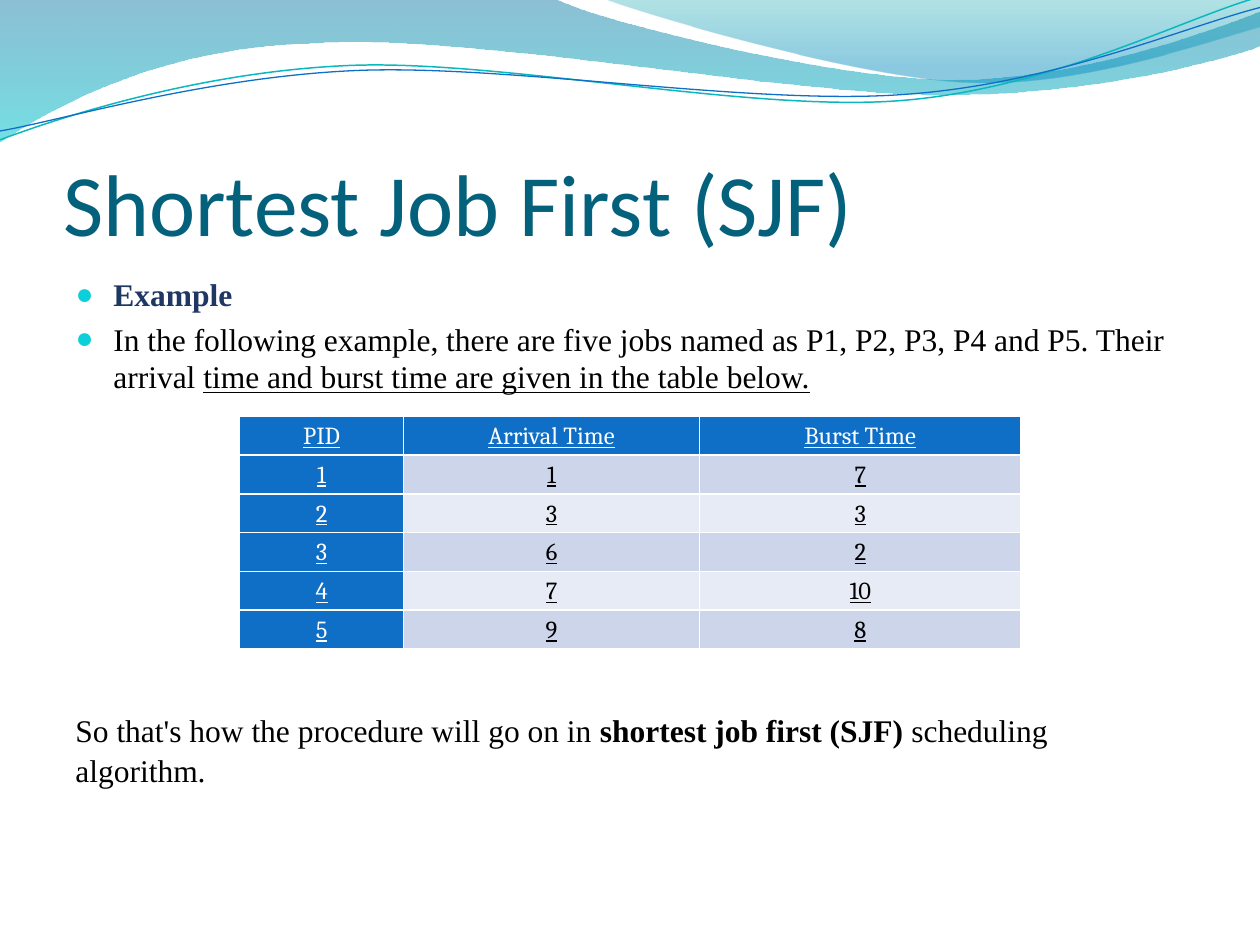
from dataclasses import dataclass
from math import cos, radians, sin

from lxml.etree import SubElement
from pptx import Presentation
from pptx.dml.color import RGBColor
from pptx.enum.text import MSO_ANCHOR, MSO_AUTO_SIZE, PP_ALIGN
from pptx.oxml.ns import qn
from pptx.util import Pt


@dataclass(frozen=True)
class Theme:
    title: str = "04617B"
    heading: str = "1F3763"
    text: str = "000000"
    white: str = "FFFFFF"
    blue: str = "0F6FC6"
    teal: str = "0AB8BF"
    bullet: str = "0BD0D9"
    bands: tuple = ("CCD5EA", "E7EBF5")
    title_font: str = "Calibri"
    body_font: str = "Times New Roman"
    table_font: str = "Cambria"
    title_size: int = 50
    body_size: int = 18
    table_size: int = 14


THEME = Theme()
BODY = {"name": THEME.body_font, "size": THEME.body_size, "color": THEME.text}

# Wave outlines in inches: a pair is a line end, six numbers are a Bézier curve.
LEFT_WAVE = [
    (0, 0), (4.4, -0.01), (4.76, 0.17, 6.64, 0.63, 7.58, 0.63),
    (8.53, 0.63, 9.58, 0.26, 10, 0.09), (10.01, 0.36),
    (9.83, 0.44, 8.7, 0.76, 7.46, 0.75), (6.22, 0.75, 3.82, 0.28, 2.57, 0.34),
    (1.29, 0.36, 0.46, 0.83, -0.01, 1.13),
]
RIGHT_WAVE = [
    (4.79, -0.01), (5.09, 0.11, 6.82, 0.62, 7.69, 0.65),
    (8.56, 0.69, 9.61, 0.32, 10, 0.21), (10, 0),
]
TEAL_LINE = [
    (0, 1.11), (0.48, 0.93, 1.58, 0.57, 2.77, 0.52),
    (3.95, 0.47, 5.93, 0.89, 7.13, 0.8), (8.33, 0.71, 9.38, 0.15, 9.98, -0.02),
]
BLUE_LINE = [
    (0, 1.04), (0.47, 0.96, 1.64, 0.61, 2.83, 0.56),
    (4.03, 0.51, 5.97, 0.84, 7.17, 0.75), (8.36, 0.67, 9.41, 0.21, 10, 0.06),
]
LINE_TILT = -2.7
JOBS = [
    ("PID", "Arrival Time", "Burst Time"),
    ("1", "1", "7"), ("2", "3", "3"), ("3", "6", "2"), ("4", "7", "10"), ("5", "9", "8"),
]


def rgb(value):
    return RGBColor.from_string(value)


def to_points(outline, degrees=0, center=(0, 0)):
    """Return each segment as a list of turned (x, y) pairs in EMU."""
    angle, (cx, cy) = radians(degrees), center
    return [
        [(Pt(72 * (cx + (x - cx) * cos(angle) - (y - cy) * sin(angle))),
          Pt(72 * (cy + (x - cx) * sin(angle) + (y - cy) * cos(angle))))
         for x, y in zip(segment[::2], segment[1::2])]
        for segment in outline
    ]


def add_outline(slide, segments, close):
    """Build a freeform through the segment ends, then bend its curved segments."""
    ends = [segment[-1] for segment in segments]
    builder = slide.shapes.build_freeform(*ends[0], scale=1)
    builder.add_line_segments(ends[1:], close=close)
    shape = builder.convert_to_shape()
    shape.shadow.inherit = False
    lines = list(shape.element.iter(qn("a:lnTo")))
    for line, segment in zip(lines, segments[1:]):
        if len(segment) == 3:
            curve = line.makeelement(qn("a:cubicBezTo"))
            for x, y in segment:
                SubElement(curve, qn("a:pt"), x=str(x - shape.left), y=str(y - shape.top))
            line.getparent().replace(line, curve)
    return shape


def add_wave(slide, outline, stops):
    """Add a filled wave; each stop is position, colour and opacity in percent."""
    wave = add_outline(slide, to_points(outline), True)
    wave.line.fill.background()
    wave.fill.gradient()
    wave.fill.gradient_angle = 270
    for stop, (position, color, _) in zip(wave.fill.gradient_stops, stops):
        stop.position = position
        stop.color.rgb = rgb(color)
    colors = wave.element.spPr.find(qn("a:gradFill")).iter(qn("a:srgbClr"))
    for color, (_, _, opacity) in zip(colors, stops):
        SubElement(color, qn("a:alpha"), val=str(opacity * 1000))


def add_wave_line(slide, outline, center, color, width):
    line = add_outline(slide, to_points(outline, -LINE_TILT, center), False)
    line.rotation = LINE_TILT
    line.fill.background()
    line.line.color.rgb = rgb(color)
    line.line.width = Pt(width)


def place(shape, left, top, width, height):
    for name, value in zip(("left", "top", "width", "height"), (left, top, width, height)):
        setattr(shape, name, Pt(value))


def write(para, spans, style, **layout):
    """Fill a paragraph with (text, changes) spans in the given style."""
    for name, value in layout.items():
        setattr(para, name, value)
    for text, changes in spans:
        span = para.add_run()
        span.text = text
        for name, value in {**style, **changes}.items():
            if name == "color":
                span.font.color.rgb = rgb(value)
            else:
                setattr(span.font, name, Pt(value) if name == "size" else value)


def add_bullet(para):
    properties = para._p.get_or_add_pPr()
    properties.set("marL", str(Pt(21.6)))
    properties.set("indent", str(-Pt(21.6)))
    color = SubElement(properties, qn("a:buClr"))
    SubElement(color, qn("a:srgbClr"), val=THEME.bullet)
    SubElement(properties, qn("a:buSzPct"), val="95000")
    SubElement(properties, qn("a:buChar"), char="●")


def fill_title(title, text):
    place(title, 36, 55.1, 648, 90)
    frame = title.text_frame
    frame.auto_size = MSO_AUTO_SIZE.NONE
    frame.vertical_anchor = MSO_ANCHOR.BOTTOM
    frame.margin_left = frame.margin_right = frame.margin_bottom = 0
    style = {"name": THEME.title_font, "size": THEME.title_size, "color": THEME.title}
    write(frame.paragraphs[0], [(text, {})], style, alignment=PP_ALIGN.LEFT)


def fill_body(body, items):
    place(body, 36, 152.3, 648, 345.6)
    frame = body.text_frame
    frame.auto_size = MSO_AUTO_SIZE.NONE
    for index, (spans, layout) in enumerate(items):
        para = frame.add_paragraph() if index else frame.paragraphs[0]
        add_bullet(para)
        write(para, spans, BODY, **layout)


def add_borders(cell):
    properties = cell._tc.get_or_add_tcPr()
    for index, side in enumerate("LRTB"):
        line = SubElement(properties, qn(f"a:ln{side}"), w=str(Pt(1)))
        SubElement(SubElement(line, qn("a:solidFill")), qn("a:srgbClr"), val=THEME.white)
        properties.insert(index, line)


def add_job_table(slide):
    widths, row_height = (93.6, 169.2, 183.6), 22.15
    table = slide.shapes.add_table(
        len(JOBS), len(widths), Pt(137), Pt(237.9), Pt(sum(widths)), Pt(row_height * len(JOBS))
    ).table
    for column, width in zip(table.columns, widths):
        column.width = Pt(width)
    for r, job in enumerate(JOBS):
        table.rows[r].height = Pt(row_height)
        for c, text in enumerate(job):
            cell = table.cell(r, c)
            is_header = r == 0 or c == 0
            for side in ("left", "right", "top", "bottom"):
                setattr(cell, f"margin_{side}", Pt(0.72))
            cell.vertical_anchor = MSO_ANCHOR.MIDDLE
            cell.fill.solid()
            cell.fill.fore_color.rgb = rgb(THEME.blue if is_header else THEME.bands[(r - 1) % 2])
            add_borders(cell)
            style = {"name": THEME.table_font, "size": THEME.table_size, "bold": False,
                     "underline": True, "color": THEME.white if is_header else THEME.text}
            write(cell.text_frame.paragraphs[0], [(text, {})], style,
                  alignment=PP_ALIGN.CENTER, line_spacing=1.07, space_after=Pt(8))


def add_note(slide, spans):
    box = slide.shapes.add_textbox(Pt(36), Pt(401), Pt(638), Pt(52.6))
    box.text_frame.word_wrap = True
    write(box.text_frame.paragraphs[0], spans, BODY, line_spacing=1.07, space_after=Pt(8))


def main():
    deck = Presentation()
    deck.slide_width, deck.slide_height = Pt(720), Pt(540)
    slide = deck.slides.add_slide(deck.slide_layouts[1])
    title, body = slide.placeholders
    add_wave(slide, LEFT_WAVE, [(0, "0074A1", 45), (1, "00C6CF", 55)])
    add_wave(slide, RIGHT_WAVE, [(0, "00A1A9", 30), (0.8, "008BBF", 45)])
    add_wave_line(slide, TEAL_LINE, (4.99, 0.58), THEME.teal, 0.85)
    add_wave_line(slide, BLUE_LINE, (5, 0.59), THEME.blue, 0.75)
    for placeholder in (title, body):  # in front of the waves
        placeholder.element.getparent().append(placeholder.element)
    fill_title(title, "Shortest Job First (SJF)")
    fill_body(body, [
        ([("Example", {"bold": True, "color": THEME.heading})],
         {"line_spacing": 1.07, "space_before": Pt(0)}),
        ([("In the following example, there are five jobs named as P1, P2, P3, P4 and P5. "
           "Their arrival ", {}),
          ("time and burst time are given in the table below.", {"underline": True})],
         {"space_before": Pt(3.6)}),
    ])
    add_job_table(slide)
    add_note(slide, [
        ("So that's how the procedure will go on in ", {}),
        ("shortest job first (SJF)", {"bold": True}),
        (" scheduling algorithm.", {}),
    ])
    deck.save("out.pptx")


if __name__ == "__main__":
    main()
